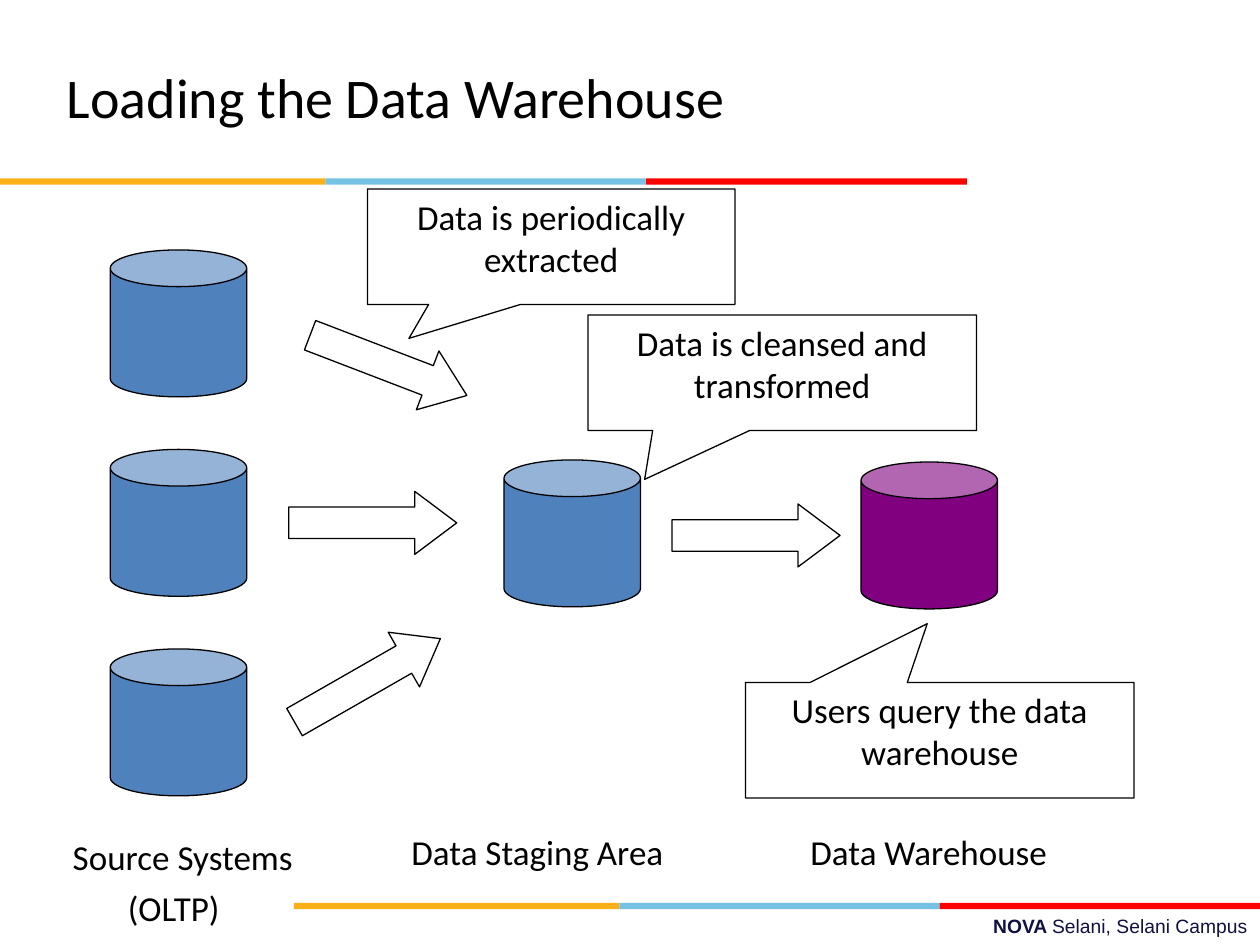
from typing import NamedTuple, Optional

from pptx import Presentation
from pptx.dml.color import RGBColor
from pptx.enum.shapes import MSO_SHAPE as Preset
from pptx.enum.text import MSO_ANCHOR as Anchor, PP_ALIGN as Align
from pptx.util import Pt

BLACK = RGBColor(0x00, 0x00, 0x00)
NAVY = RGBColor(0x10, 0x11, 0x41)
AMBER = RGBColor(0xFC, 0xB0, 0x17)
SKY = RGBColor(0x76, 0xC2, 0xE5)
RED = RGBColor(0xFF, 0x00, 0x00)
BLUE = RGBColor(0x4F, 0x81, 0xBD)
PURPLE = RGBColor(0x80, 0x00, 0x80)

STRIPE_SEGMENTS = ((0, 186, AMBER), (186, 183, SKY), (369, 183.5, RED))
STRIPE_HEIGHT = 3.6
CAN_SIZE = (78, 84)
ARROW_SIZE = (96, 36)
CALLOUT_HEIGHT = 66


class Cylinder(NamedTuple):
    left: float
    top: float
    fill: RGBColor = BLUE


class Arrow(NamedTuple):
    left: float
    top: float
    rotation: float = 0


class Label(NamedTuple):
    text: str
    left: float
    top: float
    width: float


class Callout(NamedTuple):
    text: str
    left: float
    top: float
    width: float
    tip: tuple[float, float]


SOURCE_TOPS = (142.8, 256.8, 370.8)
CYLINDERS = [Cylinder(63, top) for top in SOURCE_TOPS] + [
    Cylinder(288, 262.8),
    Cylinder(492, 264, PURPLE),
]
ARROWS = (
    Arrow(174, 190.8, 21),
    Arrow(165, 280.8),
    Arrow(162, 370.8, 330.2),
    Arrow(384, 288),
)
LABELS = (
    Label("Source Systems", 34.5, 474, 160),
    Label("Data Staging Area", 228, 471, 178),
    Label("Data Warehouse", 456, 471, 164),
    Label("(OLTP)", 66, 502.8, 80),
)
CALLOUTS = (
    Callout("Data is periodically extracted", 210, 108, 210, (-0.387, 0.794)),
    Callout("Data is cleansed and transformed", 336, 180, 222, (-0.354, 0.924)),
    Callout("Users query the data warehouse", 426, 390, 222, (-0.032, -1.009)),
)


def format_text(paragraph, size: float, color: RGBColor = BLACK,
                font: str = "Calibri") -> None:
    for run in paragraph.runs:
        run.font.name = font
        run.font.size = Pt(size)
        run.font.color.rgb = color


def add_preset(slide, preset: Preset, left: float, top: float, width: float,
               height: float, fill: Optional[RGBColor] = None,
               outlined: bool = True):
    shape = slide.shapes.add_shape(preset, Pt(left), Pt(top), Pt(width), Pt(height))
    shape.shadow.inherit = False
    if fill is None:
        shape.fill.background()
    else:
        shape.fill.solid()
        shape.fill.fore_color.rgb = fill
    if outlined:
        shape.line.color.rgb = BLACK
        shape.line.width = Pt(0.75)
    else:
        shape.line.fill.background()
    return shape


def add_title(slide, text: str) -> None:
    title = slide.shapes.title
    title.left, title.top, title.width, title.height = Pt(31), Pt(21.6), Pt(482), Pt(67)
    title.text_frame.text = text
    title.text_frame.vertical_anchor = Anchor.MIDDLE
    paragraph = title.text_frame.paragraphs[0]
    paragraph.alignment = Align.LEFT
    format_text(paragraph, 32)


def add_stripe(slide, left: float, top: float) -> None:
    for offset, width, color in STRIPE_SEGMENTS:
        add_preset(slide, Preset.RECTANGLE, left + offset, top, width,
                   STRIPE_HEIGHT, color, outlined=False)


def add_cylinder(slide, cylinder: Cylinder) -> None:
    shape = add_preset(slide, Preset.CAN, cylinder.left, cylinder.top,
                       *CAN_SIZE, cylinder.fill)
    shape.adjustments[0] = 0.269


def add_arrow(slide, arrow: Arrow) -> None:
    shape = add_preset(slide, Preset.RIGHT_ARROW, arrow.left, arrow.top, *ARROW_SIZE)
    shape.adjustments[1] = 0.667
    shape.rotation = arrow.rotation


def add_label(slide, label: Label) -> None:
    box = slide.shapes.add_textbox(Pt(label.left), Pt(label.top), Pt(label.width), Pt(31))
    box.text_frame.word_wrap = True
    box.text_frame.text = label.text
    format_text(box.text_frame.paragraphs[0], 20)


def add_callout(slide, callout: Callout) -> None:
    shape = add_preset(slide, Preset.RECTANGULAR_CALLOUT, callout.left, callout.top,
                       callout.width, CALLOUT_HEIGHT)
    shape.adjustments[0], shape.adjustments[1] = callout.tip
    shape.text_frame.word_wrap = True
    shape.text_frame.vertical_anchor = Anchor.TOP
    shape.text_frame.text = callout.text
    paragraph = shape.text_frame.paragraphs[0]
    paragraph.alignment = Align.CENTER
    format_text(paragraph, 20)


def add_footer(slide, bold_text: str, plain_text: str) -> None:
    box = slide.shapes.add_textbox(Pt(258), Pt(519), Pt(462), Pt(21))
    box.text_frame.word_wrap = True
    paragraph = box.text_frame.paragraphs[0]
    paragraph.alignment = Align.RIGHT
    for text, bold in ((bold_text, True), (plain_text, False)):
        run = paragraph.add_run()
        run.text = text
        run.font.bold = bold
    format_text(paragraph, 11, NAVY, "Arial")


def main() -> None:
    presentation = Presentation()
    presentation.slide_width = Pt(720)
    presentation.slide_height = Pt(540)
    slide = presentation.slides.add_slide(presentation.slide_layouts[5])

    add_footer(slide, "NOVA ", "Selani, Selani Campus")
    add_stripe(slide, 168, 516)
    add_stripe(slide, 0, 102)
    add_title(slide, "Loading the Data Warehouse")
    for cylinder in CYLINDERS:
        add_cylinder(slide, cylinder)
    for arrow in ARROWS:
        add_arrow(slide, arrow)
    for label in LABELS:
        add_label(slide, label)
    for callout in CALLOUTS:
        add_callout(slide, callout)

    presentation.save("out.pptx")


if __name__ == "__main__":
    main()
